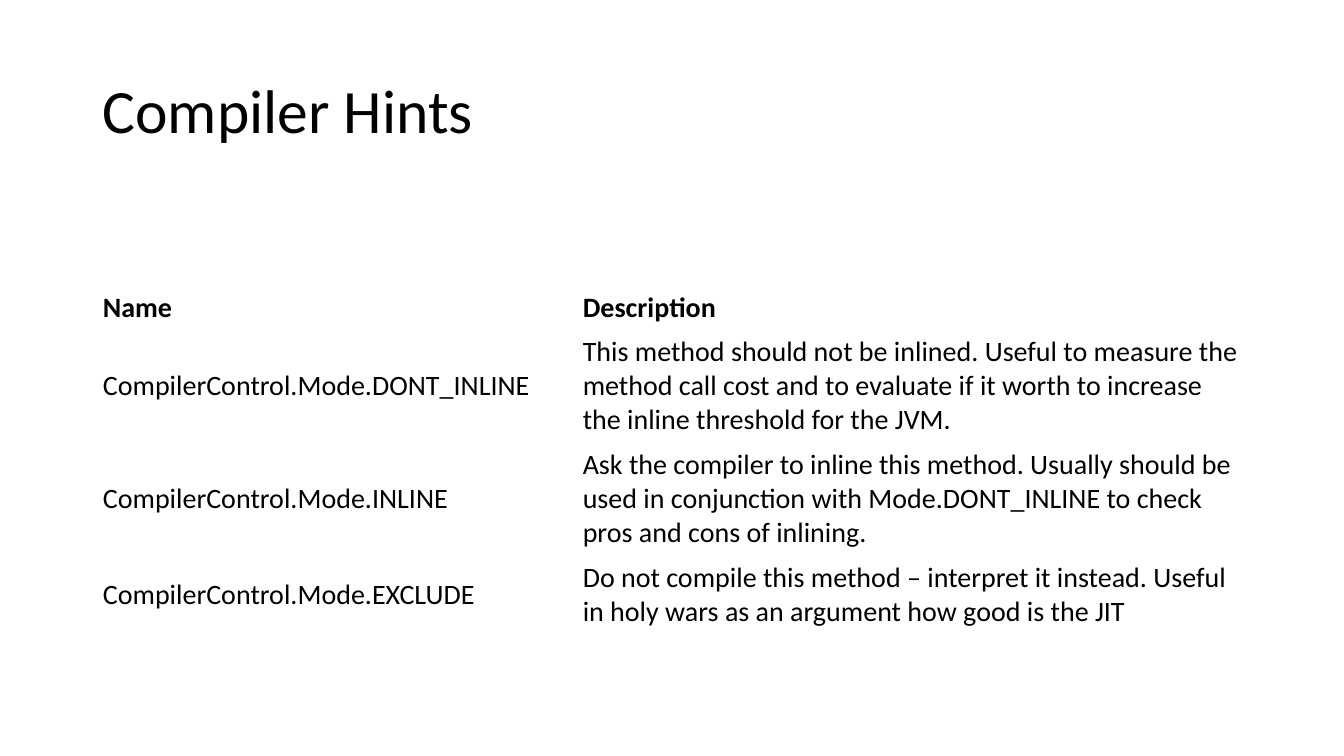
from pptx import Presentation
from pptx.dml.color import RGBColor
from pptx.enum import text
from pptx.util import Inches, Pt

BLACK = RGBColor(0x00, 0x00, 0x00)
WHITE = RGBColor(0xFF, 0xFF, 0xFF)

HINTS = [
    ("Name", "Description", 1),
    ("CompilerControl.Mode.DONT_INLINE",
     "This method should not be inlined. Useful to measure the method call cost "
     "and to evaluate if it worth to increase the inline threshold for the JVM.", 3),
    ("CompilerControl.Mode.INLINE",
     "Ask the compiler to inline this method. Usually should be used in "
     "conjunction with Mode.DONT_INLINE to check pros and cons of inlining.", 3),
    ("CompilerControl.Mode.EXCLUDE",
     "Do not compile this method – interpret it instead. Useful in holy wars "
     "as an argument how good is the JIT", 2),
]


class SlideBuilder:
    font = "Calibri"
    color = BLACK
    line_height = 0.34
    row_padding = 0.1

    def __init__(self, slide):
        self.slide = slide
        slide.background.fill.solid()
        slide.background.fill.fore_color.rgb = WHITE

    def style(self, paragraph, size, bold=False):
        for run in paragraph.runs:
            run.font.name = self.font
            run.font.size = Pt(size)
            run.font.bold = bold
            run.font.color.rgb = self.color

    def title(self, wording, left, top, width, height):
        box = self.slide.shapes.add_textbox(
            Inches(left), Inches(top), Inches(width), Inches(height))
        frame = box.text_frame
        frame.word_wrap = True
        frame.vertical_anchor = text.MSO_ANCHOR.MIDDLE
        frame.text = wording
        frame.paragraphs[0].line_spacing = 0.9
        self.style(frame.paragraphs[0], 44)

    def table(self, entries, left, top, widths):
        heights = [lines * self.line_height + self.row_padding
                   for *_, lines in entries]
        table = self.slide.shapes.add_table(
            len(entries), len(widths), Inches(left), Inches(top),
            Inches(sum(widths)), Inches(sum(heights))).table
        table.first_row = False
        table.horz_banding = False
        for column, width in zip(table.columns, widths):
            column.width = Inches(width)
        for index, (row, height) in enumerate(zip(table.rows, heights)):
            row.height = Inches(height)
            for cell, wording in zip(row.cells, entries[index]):
                cell.fill.background()
                cell.vertical_anchor = text.MSO_ANCHOR.MIDDLE
                cell.text_frame.text = wording
                self.style(cell.text_frame.paragraphs[0], 20, bold=index == 0)


def main():
    deck = Presentation()
    deck.slide_width = Inches(13.33)
    deck.slide_height = Inches(7.5)
    builder = SlideBuilder(deck.slides.add_slide(deck.slide_layouts[6]))
    builder.title("Compiler Hints", 0.92, 0.4, 11.5, 1.45)
    builder.table(HINTS, 0.92, 2.83, [4.76, 6.74])
    deck.save("out.pptx")


if __name__ == "__main__":
    main()
